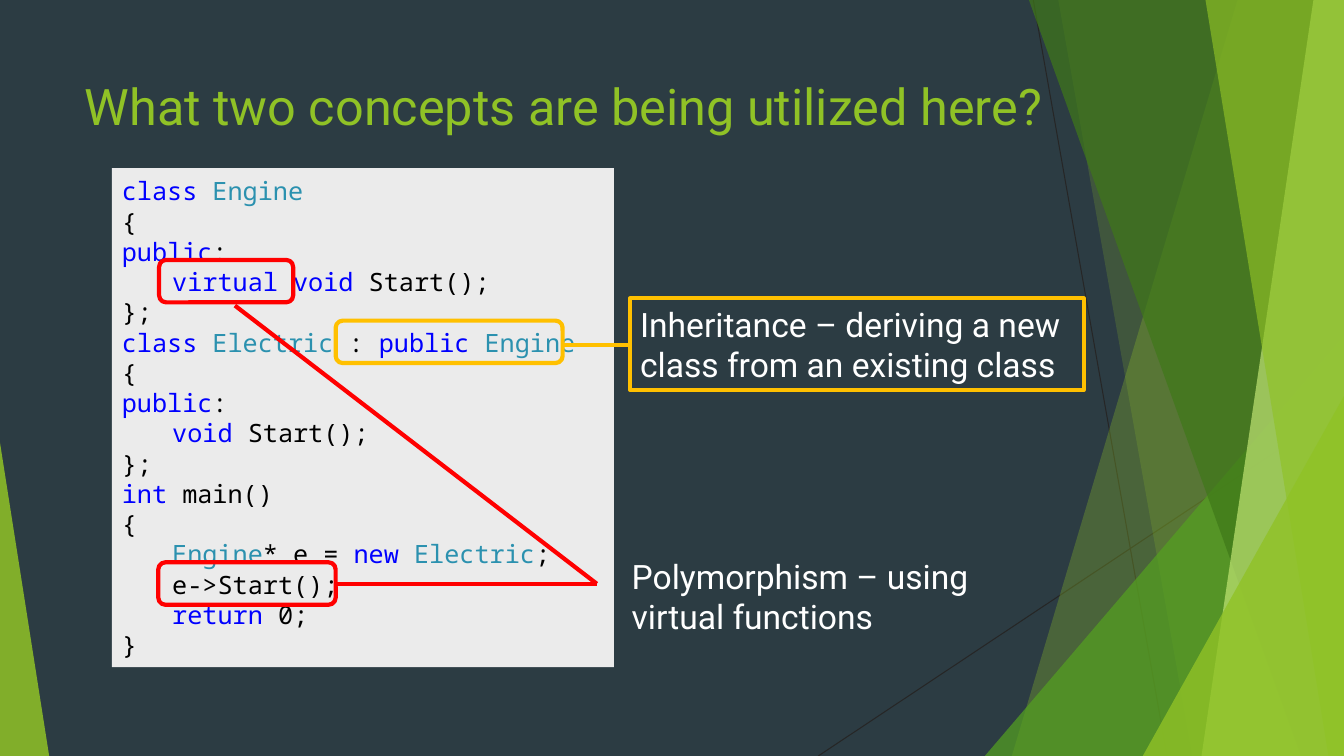
from typing import NamedTuple

from lxml.etree import SubElement
from pptx import Presentation
from pptx.dml.color import RGBColor
from pptx.enum.shapes import MSO_CONNECTOR, MSO_SHAPE
from pptx.enum.text import MSO_ANCHOR, PP_ALIGN
from pptx.oxml.ns import qn
from pptx.util import Cm, Pt

HEX = {
    "back": "2C3C43", "lime": "90C226", "green": "54A021", "dark": "3F7819",
    "pale": "C0E474", "hair": "262626", "panel": "EBEBEB", "white": "FFFFFF",
    "black": "000000", "key": "0000FF", "type": "2B91AF",
    "red": "FF0000", "gold": "FFC000",
}
WIDE, HIGH = 33.87, 19.05
SANS, MONO = "Roboto", "Noto Sans Mono"
KEYS = {"class", "public", "virtual", "void", "int", "new", "return"}
TYPES = {"Engine", "Electric"}


class Box(NamedTuple):
    """Left, top, width and height in centimetres."""
    left: float
    top: float
    wide: float
    high: float


class Line(NamedTuple):
    """A straight line in centimetres, with its colour and points."""
    x1: float
    y1: float
    x2: float
    y2: float
    hue: str
    size: float = 3


class Shard(NamedTuple):
    """A full-height band that runs from its slanted left edge to the right."""
    top: float
    foot: float
    hue: str
    alpha: int


class Wedge(NamedTuple):
    """A right-angled triangle, with its apex at 0 (left) or 1 (right)."""
    box: Box
    apex: int
    hue: str
    alpha: int


class Ring(NamedTuple):
    """A rounded outline around a piece of code."""
    box: Box
    hue: str


RAYS = [
    Line(26.04, 0, 29.41, HIGH, "hair", 0.75),
    Line(WIDE, 10.24, 20.62, HIGH, "hair", 0.75),
]
DECOR = [
    Shard(31.19, 25.5, "lime", 30),
    Shard(26.67, 30.05, "lime", 20),
    Wedge(Box(24.82, 8.46, 9.05, 10.59), 1, "green", 72),
    Shard(25.93, 32.79, "dark", 70),
    Shard(33.1, 30.28, "pale", 70),
    Shard(30.38, 33.48, "lime", 65),
    Wedge(Box(28.8, 9.98, 5.07, 9.07), 1, "lime", 80),
    Wedge(Box(0, 11.15, 1.24, 7.9), 0, "lime", 85),
]
RINGS = [
    Ring(Box(4.01, 6.55, 3.38, 1.07), "red"),
    Ring(Box(3.99, 14.17, 4.47, 1.07), "red"),
    Ring(Box(8.46, 8.08, 5.72, 1.07), "gold"),
]
LINKS = [
    Line(15.04, 14.71, 8.46, 14.71, "red"),
    Line(15.04, 14.71, 5.92, 7.7, "red"),
    Line(15.88, 8.69, 14.17, 8.69, "gold"),
]
# A bar parts the pieces of a line that differ in colour.
CODE = [
    "class |Engine", "{", "public|:", "\tvirtual void |Start();", "};",
    "class |Electric |: |public |Engine", "{", "public|:",
    "\tvoid| Start();", "};",
    "int| main()", "{", "\tEngine|* e = |new |Electric|;",
    "\te->Start();", "\treturn |0;", "}",
]


def tint(name: str) -> RGBColor:
    """Look up a colour by name."""
    return RGBColor.from_string(HEX[name])


def style(run, font: str, size: float, hue: str) -> None:
    """Set the font, size and colour of a run."""
    run.font.name, run.font.size = font, Pt(size)
    run.font.color.rgb = tint(hue)


def place(shape, box: Box) -> None:
    """Move and size a shape."""
    shape.left, shape.top, shape.width, shape.height = map(Cm, box)


def paint(shape, hue: str, alpha: int = 100) -> None:
    """Fill a shape without outline or shadow."""
    shape.shadow.inherit = False
    shape.line.fill.background()
    shape.fill.solid()
    shape.fill.fore_color.rgb = tint(hue)
    if alpha < 100:
        color = shape.element.spPr.find(qn("a:solidFill"))[0]
        SubElement(color, qn("a:alpha")).set("val", str(alpha * 1000))


def frame(shape, hue: str) -> None:
    """Give a shape a thick outline and no fill."""
    shape.shadow.inherit = False
    shape.fill.background()
    shape.line.color.rgb = tint(hue)
    shape.line.width = Pt(3)


def draw_line(shapes, line: Line) -> None:
    """Draw a plain straight connector."""
    ends = map(Cm, line[:4])
    link = shapes.add_connector(MSO_CONNECTOR.STRAIGHT, *ends)
    link.line.color.rgb = tint(line.hue)
    link.line.width = Pt(line.size)
    SubElement(link.element.spPr, qn("a:effectLst"))


def draw_shard(shapes, shard: Shard) -> None:
    """Draw a translucent band at the right edge."""
    pen = shapes.build_freeform(Cm(shard.top), 0)
    pen.add_line_segments([
        (Cm(WIDE), 0), (Cm(WIDE), Cm(HIGH)), (Cm(shard.foot), Cm(HIGH)),
    ])
    paint(pen.convert_to_shape(), shard.hue, shard.alpha)


def draw_wedge(shapes, wedge: Wedge) -> None:
    """Draw a translucent corner triangle."""
    shape = shapes.add_shape(MSO_SHAPE.ISOSCELES_TRIANGLE, *map(Cm, wedge.box))
    shape.adjustments[0] = wedge.apex
    paint(shape, wedge.hue, wedge.alpha)


def draw_ring(shapes, ring: Ring) -> None:
    """Draw a rounded outline."""
    frame(shapes.add_shape(MSO_SHAPE.ROUNDED_RECTANGLE, *map(Cm, ring.box)),
          ring.hue)


def write(shape, text: str, size: float, hue: str) -> None:
    """Write one left-aligned, wrapped paragraph."""
    body = shape.text_frame
    body.word_wrap = True
    body.vertical_anchor = MSO_ANCHOR.MIDDLE
    body.text = text
    body.paragraphs[0].alignment = PP_ALIGN.LEFT
    style(body.paragraphs[0].runs[0], SANS, size, hue)


def code_hue(piece: str) -> str:
    """Choose the syntax colour of a piece of code."""
    words = set(piece.split())
    return "key" if words <= KEYS else "type" if words <= TYPES else "black"


def draw_code(shapes, box: Box) -> None:
    """Draw the code panel with coloured syntax."""
    panel = shapes.add_shape(MSO_SHAPE.RECTANGLE, *map(Cm, box))
    paint(panel, "panel")
    body = panel.text_frame
    body.word_wrap = True
    body.vertical_anchor = MSO_ANCHOR.MIDDLE
    for row, text in enumerate(CODE):
        para = body.add_paragraph() if row else body.paragraphs[0]
        para.alignment = PP_ALIGN.LEFT
        para.line_spacing = Pt(21.6)
        for piece in text.split("|"):
            run = para.add_run()
            run.text = piece
            style(run, MONO, 18, code_hue(piece))
    for prop in panel.element.iter(qn("a:pPr")):
        tab = SubElement(SubElement(prop, qn("a:tabLst")), qn("a:tab"))
        tab.set("pos", str(Cm(1.27)))
        tab.set("algn", "l")


def main() -> None:
    """Build and save the slide."""
    deck = Presentation()
    deck.slide_width, deck.slide_height = Cm(WIDE), Cm(HIGH)
    slide = deck.slides.add_slide(deck.slide_layouts[5])
    slide.background.fill.solid()
    slide.background.fill.fore_color.rgb = tint("back")
    shapes = slide.shapes
    for ray in RAYS:
        draw_line(shapes, ray)
    for part in DECOR:
        (draw_shard if isinstance(part, Shard) else draw_wedge)(shapes, part)
    title = shapes.title
    shapes[-1].element.addnext(title.element)
    place(title, Box(1.88, 1.7, 25.43, 1.9))
    write(title, "What two concepts are being utilized here?", 36, "lime")
    draw_code(shapes, Box(2.82, 4.24, 12.65, 12.57))
    poly = shapes.add_textbox(*map(Cm, Box(15.67, 13.87, 11.43, 2.31)))
    write(poly, "Polymorphism – using virtual functions", 24, "white")
    heir = shapes.add_shape(MSO_SHAPE.RECTANGLE,
                            *map(Cm, Box(15.88, 7.52, 11.43, 2.31)))
    frame(heir, "gold")
    write(heir, "Inheritance – deriving a new class from an existing class",
          24, "white")
    for ring in RINGS:
        draw_ring(shapes, ring)
    for link in LINKS:
        draw_line(shapes, link)
    deck.save("out.pptx")


main()
